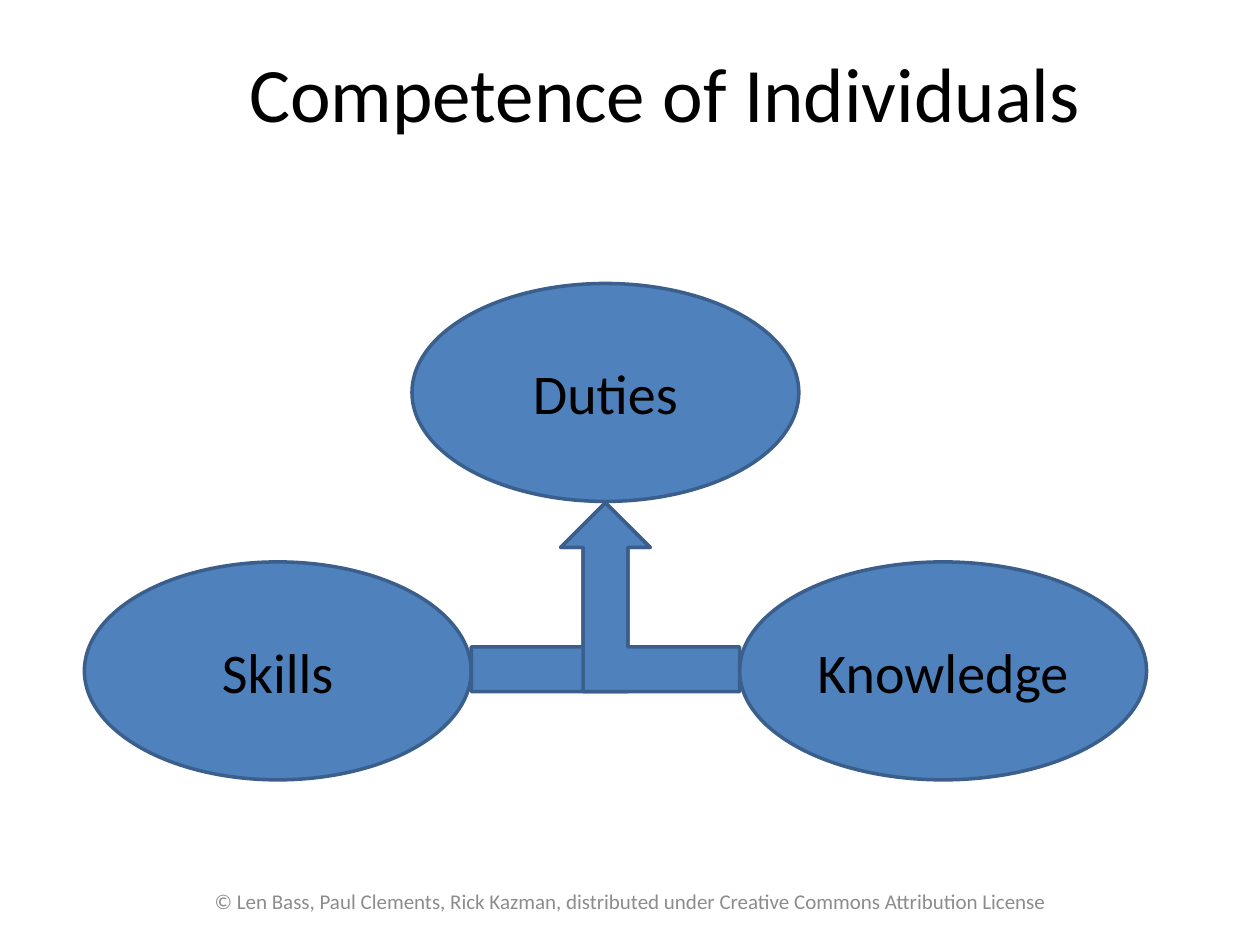
from pptx import Presentation
from pptx.dml.color import RGBColor
from pptx.enum.shapes import MSO_SHAPE
from pptx.enum.text import MSO_ANCHOR, PP_ALIGN
from pptx.util import Inches, Pt

BLACK = RGBColor(0x00, 0x00, 0x00)
GRAY = RGBColor(0x8C, 0x8C, 0x8C)
BLUE = RGBColor(0x4F, 0x81, 0xBD)
DARK_BLUE = RGBColor(0x3A, 0x5F, 0x8C)
FONT = "Calibri"

OVAL_HEIGHT = 1.73
ARROW_TOP, ARROW_WIDTH, ARROW_HEIGHT = 3.99, 1.42, 1.5


def write_text(shape, text, size, color):
    """Put one centred line of text into a shape."""
    frame = shape.text_frame
    frame.word_wrap = True
    frame.vertical_anchor = MSO_ANCHOR.MIDDLE
    paragraph = frame.paragraphs[0]
    paragraph.alignment = PP_ALIGN.CENTER
    run = paragraph.add_run()
    run.text = text
    run.font.name = FONT
    run.font.size = Pt(size)
    run.font.color.rgb = color


def add_title(slide, text):
    """Place and fill the title placeholder."""
    title = slide.shapes.title
    title.left, title.top = Inches(1.06), Inches(0.3)
    title.width, title.height = Inches(8.44), Inches(0.85)
    write_text(title, text, 44, BLACK)


def add_footer(slide, text):
    """Add the licence line at the bottom."""
    footer = slide.shapes.add_textbox(
        Inches(1.54), Inches(6.95), Inches(6.93), Inches(0.4))
    write_text(footer, text, 12, GRAY)


def add_blue_shape(slide, kind, left, top, width, height):
    """Add a preset shape in the diagram's blue style."""
    shape = slide.shapes.add_shape(
        kind, Inches(left), Inches(top), Inches(width), Inches(height))
    shape.shadow.inherit = False
    shape.fill.solid()
    shape.fill.fore_color.rgb = BLUE
    shape.line.color.rgb = DARK_BLUE
    shape.line.width = Pt(2)
    return shape


def add_oval(slide, text, left, top, width):
    """Add a labelled oval."""
    oval = add_blue_shape(slide, MSO_SHAPE.OVAL, left, top, width, OVAL_HEIGHT)
    write_text(oval, text, 32, BLACK)


def add_bent_arrow(slide, left, mirrored=False):
    """Add an arrow that runs sideways and then up."""
    arrow = add_blue_shape(slide, MSO_SHAPE.BENT_UP_ARROW, left, ARROW_TOP,
                           ARROW_WIDTH, ARROW_HEIGHT)
    if mirrored:
        arrow.element.spPr.xfrm.set("flipH", "1")


def main():
    """Build the slide and save it."""
    presentation = Presentation()
    presentation.slide_width = Inches(10)
    presentation.slide_height = Inches(7.5)
    slide = presentation.slides.add_slide(presentation.slide_layouts[5])

    add_title(slide, "Competence of Individuals")
    add_footer(slide, "© Len Bass, Paul Clements, Rick Kazman, distributed "
                      "under Creative Commons Attribution License")
    add_oval(slide, "Skills", 0.67, 4.46, 3.07)
    add_oval(slide, "Knowledge", 5.87, 4.46, 3.23)
    add_bent_arrow(slide, 3.74)
    add_bent_arrow(slide, 4.45, mirrored=True)
    add_oval(slide, "Duties", 3.27, 2.25, 3.07)

    presentation.save("out.pptx")


main()
